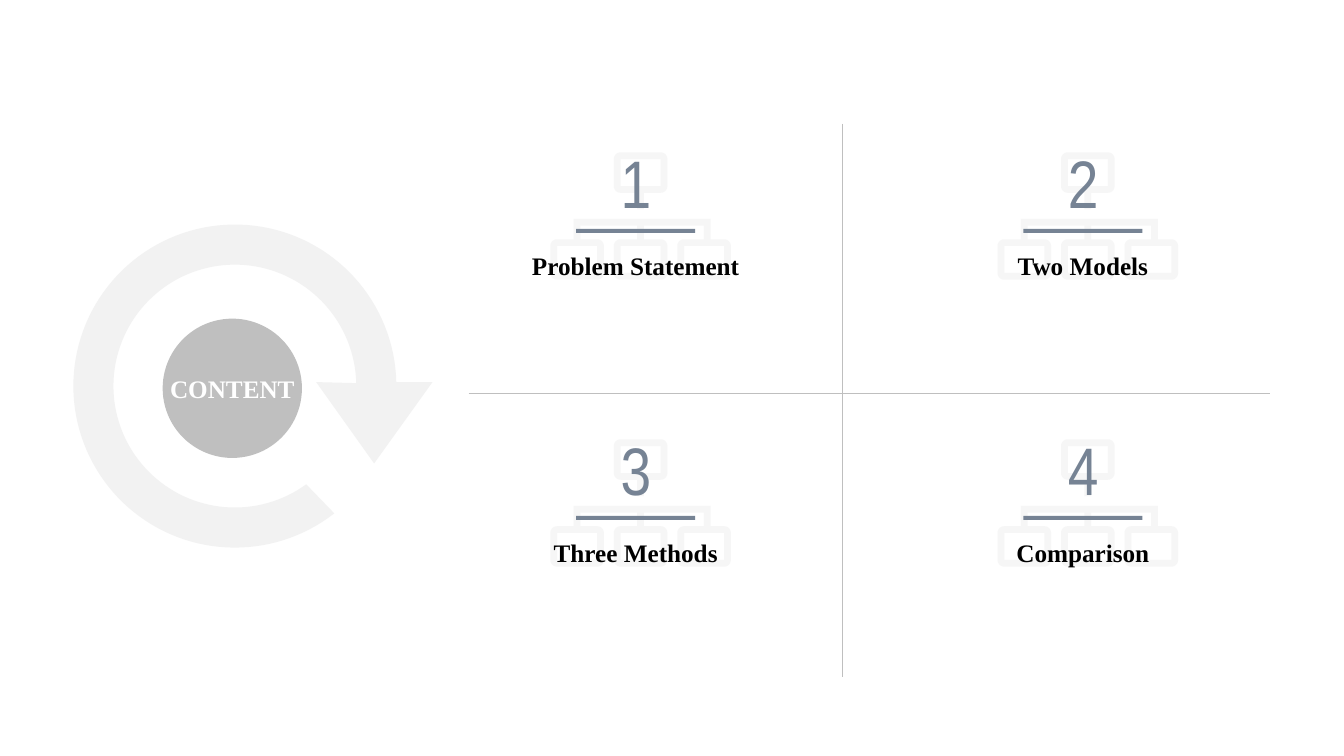
"""Build the contents slide: a circular arrow beside a two by two grid of numbered topics."""
import math

import pptx
import pptx.dml.color
import pptx.enum.shapes
import pptx.enum.text
import pptx.oxml
import pptx.oxml.ns
import pptx.util

Cm = pptx.util.Cm
ANCHOR = pptx.enum.text.MSO_ANCHOR
SHAPE = pptx.enum.shapes.MSO_SHAPE
COLOURS = {"pale": "F2F2F2", "grey": "BFBFBF", "slate": "768394",
           "black": "000000", "white": "FFFFFF"}
SERIF, NARROW = "Times New Roman", "Arial Narrow"
TOPICS = ["Problem Statement", "Two Models", "Three Methods", "Comparison"]
COLUMN_STEP, ROW_STEP = 11.27, 7.23


def colour(name):
    return pptx.dml.color.RGBColor.from_string(COLOURS[name])


def write(shape, text, font=SERIF, size=18, bold=True, ink="black",
          anchor=ANCHOR.MIDDLE, insets=(0.25, 0.13)):
    frame = shape.text_frame
    frame.word_wrap = False
    frame.auto_size = pptx.enum.text.MSO_AUTO_SIZE.NONE
    frame.vertical_anchor = anchor
    frame.margin_left = frame.margin_right = Cm(insets[0])
    frame.margin_top = frame.margin_bottom = Cm(insets[1])
    paragraph = frame.paragraphs[0]
    paragraph.alignment = pptx.enum.text.PP_ALIGN.CENTER
    run = paragraph.add_run()
    run.text = text
    run.font.name = font
    run.font.size = pptx.util.Pt(size)
    run.font.bold = bold
    run.font.color.rgb = colour(ink)


def arc(centre_x, centre_y, radius, start, end, steps):
    angles = [math.radians(start + (end - start) * step / steps) for step in range(steps + 1)]
    return [(centre_x + radius * math.cos(angle), centre_y + radius * math.sin(angle))
            for angle in angles]


def ring_arrow():
    centre = 5.92, 9.73
    head = [(10.9, 9.63), (9.43, 11.68), (7.97, 9.63)]
    return [arc(*centre, 4.07, 52, 358.6, 120) + head + arc(*centre, 3.06, 358.6, 54, 120)]


def frame_contours(left, top, width=1.35, height=1.02, border=0.17):
    right, bottom = left + width, top + height
    corners = [(right - border, bottom - border), (left + border, bottom - border),
               (left + border, top + border), (right - border, top + border)]
    outline = [point for index, corner in enumerate(corners)
               for point in arc(*corner, border, 90 * index, 90 * index + 90, 6)]
    return [outline, corners]


def chart_icon(left, top):
    contours = frame_contours(1.6, 0)
    for column in range(3):
        contours += frame_contours(1.6 * column, 2.19)
    contours.append([(2.19, 1.02), (2.36, 1.02), (2.36, 1.43), (2.19, 1.43)])
    contours.append([(0.59, 1.68), (4.04, 1.68), (4.04, 2.19), (3.87, 2.19),
                     (3.87, 1.85), (2.36, 1.85), (2.36, 2.19), (2.19, 2.19),
                     (2.19, 1.85), (0.76, 1.85), (0.76, 2.19), (0.59, 2.19)])
    return [[(left + x, top + y) for x, y in contour] for contour in contours]


class ContentSlide:
    """Hold the current slide and draw its elements, measured in centimetres."""

    def __init__(self, presentation):
        self.slide = presentation.slides.add_slide(presentation.slide_layouts[5])
        self.shapes = self.slide.shapes

    def paint(self, shape, fill, opacity=None):
        shape.shadow.inherit = False
        shape.fill.solid()
        shape.fill.fore_color.rgb = colour(fill)
        shape.line.fill.background()
        if opacity:
            tint = shape.element.find(".//" + pptx.oxml.ns.qn("a:srgbClr"))
            tint.append(pptx.oxml.parse_xml(
                f'<a:alpha {pptx.oxml.ns.nsdecls("a")} val="{opacity * 1000}"/>'))
        return shape

    def preset(self, kind, left, top, width, height, fill):
        shape = self.shapes.add_shape(kind, Cm(left), Cm(top), Cm(width), Cm(height))
        return self.paint(shape, fill)

    def outline(self, contours, fill, opacity=None):
        scaled = [[(Cm(x), Cm(y)) for x, y in contour] for contour in contours]
        builder = self.shapes.build_freeform(*scaled[0][0], scale=1.0)
        builder.add_line_segments(scaled[0][1:], close=True)
        for contour in scaled[1:]:
            builder.move_to(*contour[0])
            builder.add_line_segments(contour[1:], close=True)
        return self.paint(builder.convert_to_shape(), fill, opacity)

    def text(self, left, top, width, height, text, **formatting):
        box = self.shapes.add_textbox(Cm(left), Cm(top), Cm(width), Cm(height))
        write(box, text, **formatting)

    def title_on(self, shape, text, **formatting):
        title = self.shapes.title
        title.left, title.top = shape.left, shape.top
        title.width, title.height = shape.width, shape.height
        write(title, text, **formatting)
        shape.element.addnext(title.element)

    def line(self, start_x, start_y, end_x, end_y):
        connector = self.shapes.add_connector(
            pptx.enum.shapes.MSO_CONNECTOR.STRAIGHT,
            Cm(start_x), Cm(start_y), Cm(end_x), Cm(end_y))
        connector.line.color.rgb = colour("grey")
        connector.line.width = pptx.util.Pt(0.25)
        connector.element.spPr.append(pptx.oxml.parse_xml(
            f'<a:effectLst {pptx.oxml.ns.nsdecls("a")}/>'))

    def topic(self, number, label):
        row, column = divmod(number - 1, 2)
        x, y = column * COLUMN_STEP, row * ROW_STEP
        self.outline(chart_icon(13.87 + x, 3.84 + y), "pale", opacity=64)
        self.preset(SHAPE.RECTANGLE, 14.52 + x, 5.77 + y, 3, 0.1, "slate")
        self.text(15.04 + x, 3.29 + y, 1.98, 2.57, str(number), font=NARROW, size=48,
                  bold=False, ink="slate", insets=(0.51, 0.25))
        self.text(11.31 + x, 5.98 + y, 9.42, 1.22, label, anchor=ANCHOR.BOTTOM)


def main():
    presentation = pptx.Presentation()
    presentation.slide_width, presentation.slide_height = Cm(33.87), Cm(19.05)
    content = ContentSlide(presentation)
    content.outline(ring_arrow(), "pale")
    circle = content.preset(SHAPE.OVAL, 4.1, 8.03, 3.51, 3.51, "grey")
    content.title_on(circle, "CONTENT", ink="white", insets=(0, 0))
    for number, label in enumerate(TOPICS, start=1):
        content.topic(number, label)
    content.line(11.81, 9.91, 32, 9.91)
    content.line(21.23, 3.12, 21.23, 17.07)
    presentation.save("out.pptx")


if __name__ == "__main__":
    main()
